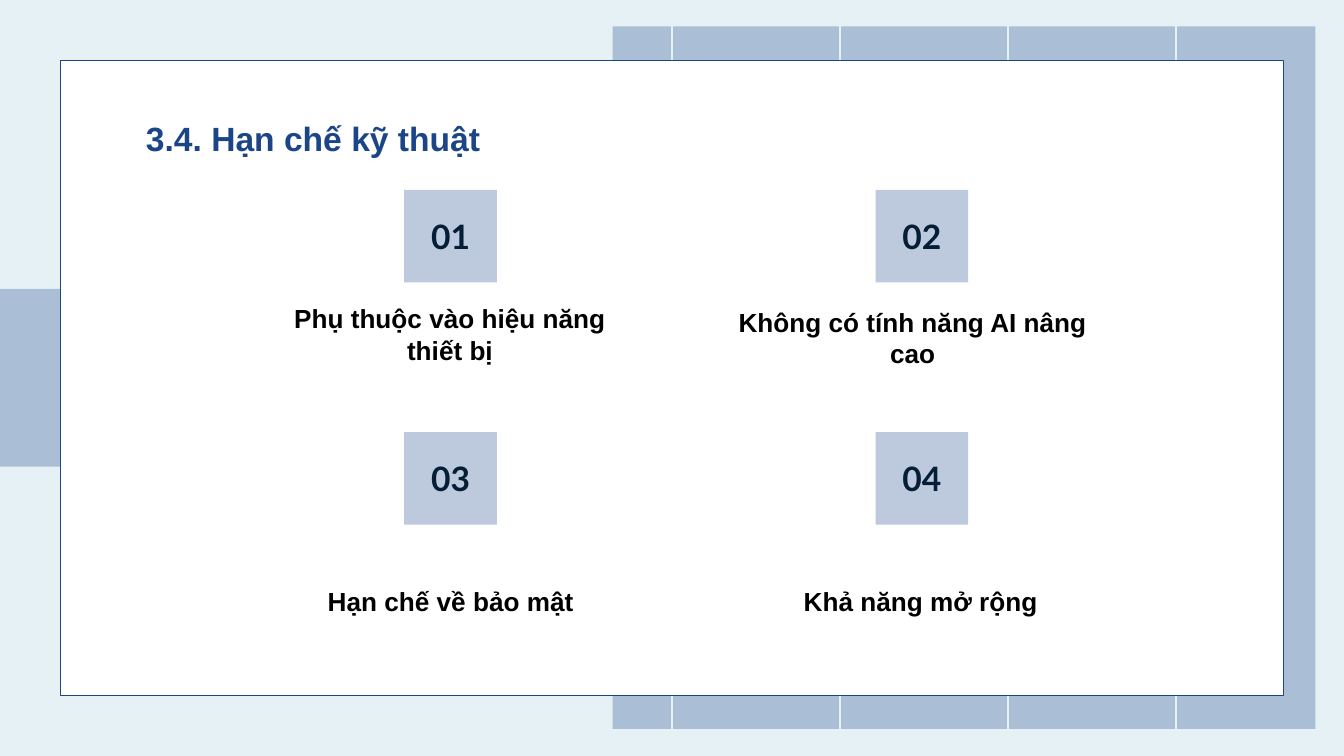
from lxml import etree
from pptx import Presentation
from pptx.dml.color import RGBColor
from pptx.enum.shapes import MSO_CONNECTOR, MSO_SHAPE
from pptx.enum.text import MSO_ANCHOR, PP_ALIGN
from pptx.oxml.ns import qn
from pptx.util import Cm, Pt

RECT = MSO_SHAPE.RECTANGLE
STRAIGHT = MSO_CONNECTOR.STRAIGHT
BOTTOM, MIDDLE = MSO_ANCHOR.BOTTOM, MSO_ANCHOR.MIDDLE
LEFT, CENTER, JUSTIFY = PP_ALIGN.LEFT, PP_ALIGN.CENTER, PP_ALIGN.JUSTIFY

COLORS = {"bg": "E5F1F5", "blue": "1C4587", "panel": "FFFFFF",
          "number": "041E36", "text": "000000"}
FONTS = {
    "title": {"name": "Arial", "size": Pt(18), "bold": True},
    "number": {"name": "Lato", "size": Pt(18), "bold": True},
    "label": {"name": "Arial", "size": Pt(14), "bold": True},
}
WIDTH, HEIGHT = 25.4, 14.29
TINT = 29  # opacity of the pale blue blocks, percent


def rgb(name):
    return RGBColor.from_string(COLORS[name])


class SlideBuilder:
    def __init__(self, slide):
        self.s = slide
        fill = slide.background.fill
        fill.solid()
        fill.fore_color.rgb = rgb("bg")

    def rect(self, box, color, opacity=100, line=None):
        sp = self.s.shapes.add_shape(RECT, *map(Cm, box))
        sp.shadow.inherit = False
        sp.fill.solid()
        sp.fill.fore_color.rgb = rgb(color)
        if opacity < 100:
            clr = sp._element.spPr.find(qn("a:solidFill"))[0]
            etree.SubElement(clr, qn("a:alpha")).set("val", str(opacity * 1000))
        if line:
            sp.line.color.rgb = rgb(line)
            sp.line.width = Pt(0.75)
        else:
            sp.line.fill.background()
        return sp

    def vertical_line(self, x):
        line = self.s.shapes.add_connector(STRAIGHT, Cm(x), Cm(0), Cm(x), Cm(HEIGHT))
        line.line.color.rgb = rgb("bg")
        line.line.width = Pt(0.75)
        etree.SubElement(line._element.spPr, qn("a:effectLst"))

    def set_text(self, sp, text, font, color, anchor, align, indent=0):
        """Put one formatted paragraph into a shape."""
        tf = sp.text_frame
        frame = {"word_wrap": True, "vertical_anchor": anchor}
        for side in ("left", "top", "right", "bottom"):
            frame["margin_" + side] = Cm(0.25)
        for key, value in frame.items():
            setattr(tf, key, value)
        p = tf.paragraphs[0]
        p.alignment = align
        if indent:
            p._p.get_or_add_pPr().set("marL", str(Cm(indent)))
        r = p.add_run()
        r.text = text
        for key, value in FONTS[font].items():
            setattr(r.font, key, value)
        r.font.color.rgb = rgb(color)

    def text(self, box, text, font, color, align, indent=0):
        sp = self.s.shapes.add_textbox(*map(Cm, box))
        self.set_text(sp, text, font, color, BOTTOM, align, indent)

    def number(self, x, y, text):
        sp = self.rect((x, y, 1.75, 1.75), "blue", TINT)
        self.set_text(sp, text, "number", "number", MIDDLE, CENTER)


def main():
    prs = Presentation()
    prs.slide_width, prs.slide_height = Cm(WIDTH), Cm(HEIGHT)
    b = SlideBuilder(prs.slides.add_slide(prs.slide_layouts[6]))

    b.rect((-0.94, 5.46, 2.34, 3.36), "blue", TINT)
    b.rect((11.58, 0.5, 13.28, 13.28), "blue", TINT)
    for i in range(4, 8):
        b.vertical_line(i * WIDTH / 8)
    b.rect((1.14, 1.14, 23.12, 12.01), "panel", line="blue")
    b.text((2.01, 1.65, 21.41, 1.6), "3.4. Hạn chế kỹ thuật",
           "title", "blue", LEFT, indent=0.5)

    limits = [
        ("Phụ thuộc vào hiệu năng thiết bị", (5.18, 5.08, 6.65, 2.08), CENTER),
        ("Không có tính năng AI nâng cao", (13.59, 5.33, 7.32, 1.9), CENTER),
        ("Hạn chế về bảo mật", (4.57, 10.67, 7.9, 1.24), CENTER),
        ("Khả năng mở rộng", (14.94, 10.67, 4.98, 1.24), JUSTIFY),
    ]
    for i, (label, box, align) in enumerate(limits):
        row, col = divmod(i, 2)
        b.number(7.64 + col * 8.91, 3.59 + row * 4.58, f"{i + 1:02d}")
        b.text(box, label, "label", "text", align)

    prs.save("out.pptx")


if __name__ == "__main__":
    main()
